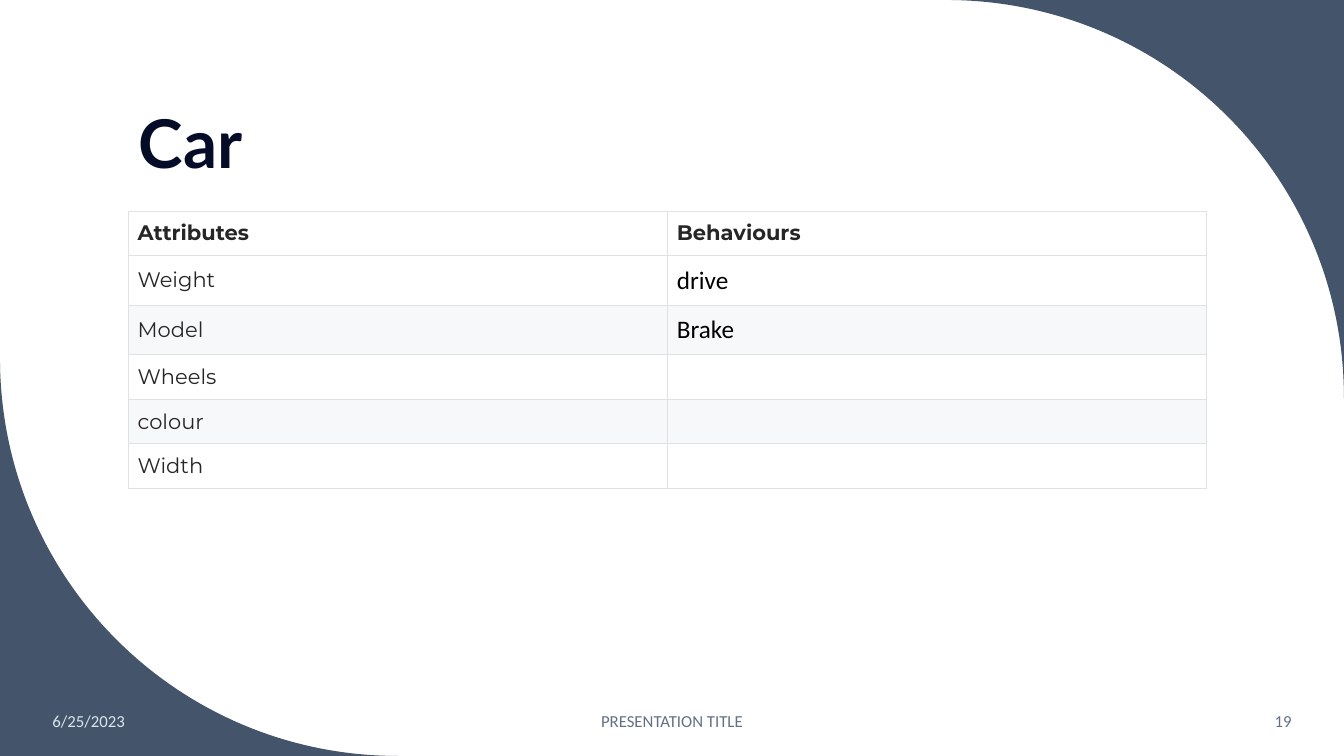
from lxml import etree
from pptx import Presentation
from pptx.dml.color import RGBColor
from pptx.enum.text import MSO_ANCHOR as ANCHOR, PP_ALIGN as ALIGN
from pptx.oxml.ns import qn
from pptx.util import Cm, Pt

SLATE = RGBColor(0x44, 0x54, 0x6A)
NAVY = RGBColor(0x04, 0x0C, 0x28)
PALE = RGBColor(0xDA, 0xE5, 0xEF)
GREY = RGBColor(0x63, 0x71, 0x83)
INK = RGBColor(0x26, 0x26, 0x26)
BLACK = RGBColor(0, 0, 0)
WHITE = RGBColor(0xFF, 0xFF, 0xFF)
STRIPE = RGBColor(0xF6, 0xF8, 0xFA)
BORDER = RGBColor(0xDF, 0xE2, 0xE5)

TITLE = "Car\u00a0"
ATTRIBUTES = ["Weight", "Model", "Wheels", "colour", "Width"]
BEHAVIOURS = ["drive", "Brake", "", "", ""]
FOOTER = [
    ("6/25/2023", 1.07, 4.72, ALIGN.LEFT, PALE),
    ("PRESENTATION TITLE", 11.22, 11.43, ALIGN.CENTER, GREY),
    ("19", 28.2, 4.6, ALIGN.RIGHT, GREY),
]
WIDTH, HEIGHT = 33.87, 19.05
RADIUS, BEND = 10.03, 5.55
COL_WIDTH = 13.59
ROW, TALL_ROW, MARGIN = 1.12, 1.25, 0.24

prs = Presentation()
prs.slide_width, prs.slide_height = Cm(WIDTH), Cm(HEIGHT)
s = prs.slides.add_slide(prs.slide_layouts[6])


def put_text(tf, text, size=12, font="Calibri", color=GREY, bold=False,
             align=ALIGN.LEFT, spacing=None):
    p = tf.paragraphs[0]
    p.alignment = align
    if spacing:
        p.line_spacing = spacing
    r = p.add_run()
    r.text = text
    r.font.size, r.font.name, r.font.bold = Pt(size), font, bold
    r.font.color.rgb = color


def add_box(left, top, width, height, text, anchor, **fmt):
    tf = s.shapes.add_textbox(Cm(left), Cm(top), Cm(width), Cm(height)).text_frame
    tf.word_wrap = True
    tf.vertical_anchor = anchor
    put_text(tf, text, **fmt)


def add_corner(points):
    corner, *outline = [(Cm(x), Cm(y)) for x, y in points]
    fb = s.shapes.build_freeform(*corner)
    fb.add_line_segments(outline, close=True)
    sp = fb.convert_to_shape()
    sp.shadow.inherit = False
    sp.fill.solid()
    sp.fill.fore_color.rgb = SLATE
    sp.line.fill.background()
    first, *handles = list(sp._element.iter(qn("a:lnTo")))[:4]
    curve = etree.Element(qn("a:cubicBezTo"))
    first.addnext(curve)
    for handle in handles:
        curve.append(handle[0])
        handle.getparent().remove(handle)


def set_borders(cell):
    tcPr = cell._tc.get_or_add_tcPr()
    for i, side in enumerate(("a:lnL", "a:lnR", "a:lnT", "a:lnB")):
        ln = etree.Element(qn(side), w=str(Pt(0.6)))
        fill = etree.SubElement(ln, qn("a:solidFill"))
        etree.SubElement(fill, qn("a:srgbClr"), val=str(BORDER))
        tcPr.insert(i, ln)


top_right = [(WIDTH, 0), (WIDTH - RADIUS, 0), (WIDTH - RADIUS + BEND, 0),
             (WIDTH, RADIUS - BEND), (WIDTH, RADIUS)]
add_corner(top_right)
add_corner([(WIDTH - x, HEIGHT - y) for x, y in top_right])

add_box(3.25, 1.07, 27.15, 3.68, TITLE, ANCHOR.BOTTOM,
        size=48, font="Lato", color=NAVY, bold=True, spacing=0.9)
for text, left, width, align, color in FOOTER:
    add_box(left, 17.65, width, 1.02, text, ANCHOR.MIDDLE, align=align, color=color)

rows = [("Attributes", "Behaviours"), *zip(ATTRIBUTES, BEHAVIOURS)]
table = s.shapes.add_table(len(rows), 2, Cm(3.23), Cm(5.32),
                           Cm(2 * COL_WIDTH), Cm(ROW * len(rows))).table
table.first_row = table.horz_banding = False
for col in table.columns:
    col.width = Cm(COL_WIDTH)
for i, row in enumerate(rows):
    table.rows[i].height = Cm(TALL_ROW if i and row[1] else ROW)
    for j, text in enumerate(row):
        cell = table.cell(i, j)
        cell.fill.solid()
        cell.fill.fore_color.rgb = STRIPE if i and i % 2 == 0 else WHITE
        set_borders(cell)
        if not text:
            continue
        cell.vertical_anchor = ANCHOR.MIDDLE
        cell.margin_left = cell.margin_right = Cm(MARGIN)
        cell.margin_top = cell.margin_bottom = Cm(MARGIN)
        if i and j:
            put_text(cell.text_frame, text, size=18, color=BLACK)
        else:
            put_text(cell.text_frame, text, size=15, font="Montserrat",
                     color=INK, bold=i == 0)

prs.save("out.pptx")
